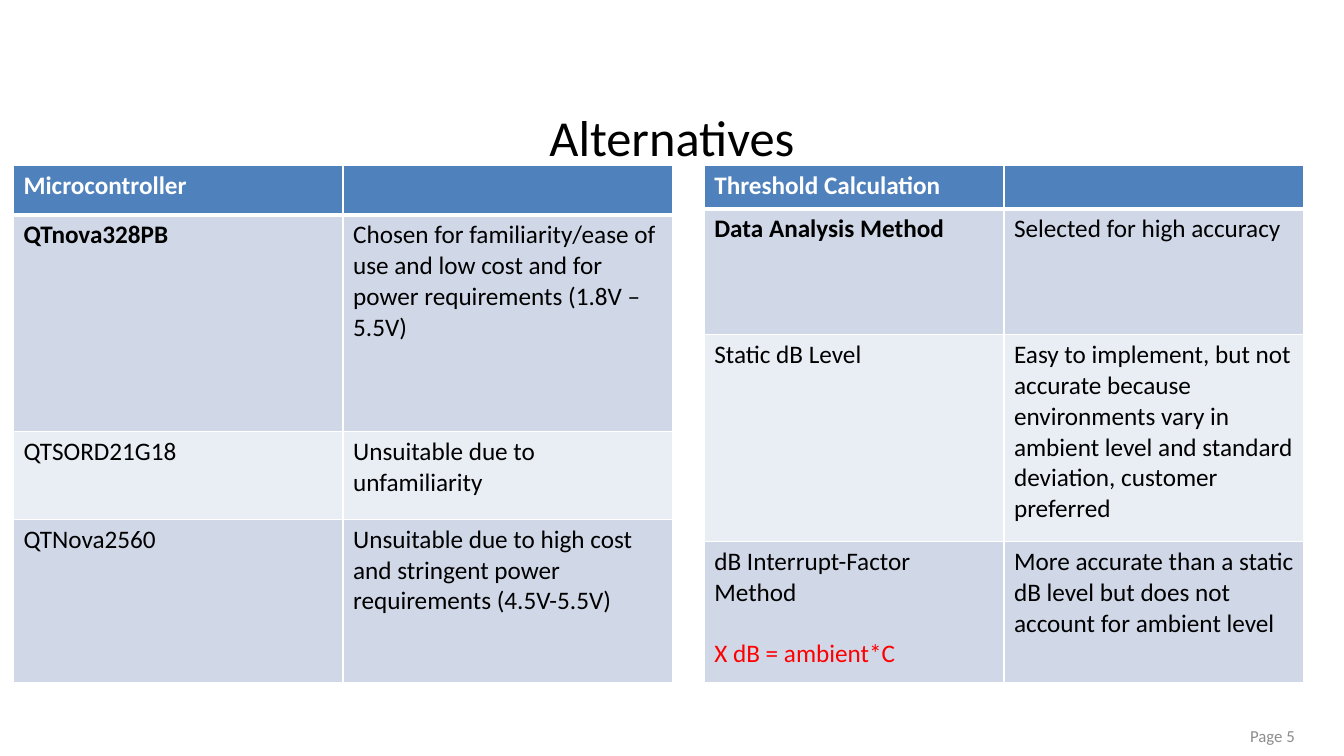
from dataclasses import dataclass

from lxml import etree
from pptx import Presentation
from pptx.dml.color import RGBColor
from pptx.enum.text import MSO_ANCHOR, PP_ALIGN
from pptx.oxml.ns import qn
from pptx.util import Inches, Pt

MIDDLE = MSO_ANCHOR.MIDDLE
CENTER = PP_ALIGN.CENTER
RIGHT = PP_ALIGN.RIGHT
LEFT = PP_ALIGN.LEFT


@dataclass(frozen=True)
class Theme:
    font: str = "Calibri"
    title_size: int = 36
    body_size: int = 18
    footer_size: int = 12
    text: str = "000000"
    muted: str = "8C8C8C"
    formula: str = "FF0000"
    inverse: str = "FFFFFF"
    header: str = "4F81BD"
    bands: tuple = ("D0D8E8", "E9EDF4")
    thin_line: int = 1
    thick_line: int = 3


class SlideBuilder:
    """Build slide elements placed by percentages of the slide's size."""

    def __init__(self, presentation, theme):
        self.theme = theme
        self.width = presentation.slide_width
        self.height = presentation.slide_height
        self.slide = presentation.slides.add_slide(presentation.slide_layouts[6])

    def across(self, share):
        return int(self.width * share / 100)

    def down(self, share):
        return int(self.height * share / 100)

    def place(self, left, top, width, height):
        return self.across(left), self.down(top), self.across(width), self.down(height)

    def add_text(self, paragraph, text, size, color, bold=False, align=LEFT):
        paragraph.alignment = align
        run = paragraph.add_run()
        run.text = text
        run.font.name = self.theme.font
        run.font.size = Pt(size)
        run.font.bold = bold
        run.font.color.rgb = RGBColor.from_string(color)

    def label(self, area, text, size, color, align):
        frame = self.slide.shapes.add_textbox(*self.place(*area)).text_frame
        frame.word_wrap = True
        frame.vertical_anchor = MIDDLE
        self.add_text(frame.paragraphs[0], text, size, color, align=align)

    def borders(self, cell, top, bottom):
        thin = self.theme.thin_line
        sides = (("a:lnL", thin), ("a:lnR", thin), ("a:lnT", top), ("a:lnB", bottom))
        properties = cell._tc.get_or_add_tcPr()
        for index, (tag, points) in enumerate(sides):
            line = etree.Element(qn(tag), w=str(Pt(points)))
            fill = etree.SubElement(line, qn("a:solidFill"))
            etree.SubElement(fill, qn("a:srgbClr"), val=self.theme.inverse)
            properties.insert(index, line)

    def cell(self, cell, text, row, column):
        theme = self.theme
        is_header = row == 0
        cell.fill.solid()
        fill = theme.header if is_header else theme.bands[(row - 1) % 2]
        cell.fill.fore_color.rgb = RGBColor.from_string(fill)
        top = theme.thick_line if row == 1 else theme.thin_line
        bottom = theme.thick_line if is_header else theme.thin_line
        self.borders(cell, top, bottom)
        color = theme.inverse if is_header else theme.text
        bold = is_header or (row == 1 and column == 0)
        paragraph = cell.text_frame.paragraphs[0]
        if text:
            self.add_text(paragraph, text, theme.body_size, color, bold)
        else:
            paragraph.font.size = Pt(theme.body_size)

    def table(self, left, top, width, row_heights, rows):
        area = self.place(left, top, width, sum(row_heights))
        table = self.slide.shapes.add_table(len(rows), len(rows[0]), *area).table
        for row, (height, texts) in enumerate(zip(row_heights, rows)):
            table.rows[row].height = self.down(height)
            for column, text in enumerate(texts):
                self.cell(table.cell(row, column), text, row, column)
        return table

    def formula(self, cell, text):
        paragraph = cell.text_frame.add_paragraph()
        paragraph.space_before = Pt(22)
        self.add_text(paragraph, text, self.theme.body_size, self.theme.formula)


MICROCONTROLLERS = (
    ("Microcontroller", ""),
    ("QTnova328PB", "Chosen for familiarity/ease of use and low cost and for "
                    "power requirements (1.8V – 5.5V)"),
    ("QTSORD21G18", "Unsuitable due to unfamiliarity"),
    ("QTNova2560", "Unsuitable due to high cost and stringent power "
                   "requirements (4.5V-5.5V)"),
)
THRESHOLDS = (
    ("Threshold Calculation", ""),
    ("Data Analysis Method", "Selected for high accuracy"),
    ("Static dB Level", "Easy to implement, but not accurate because environments "
                        "vary in ambient level and standard deviation, customer preferred"),
    ("dB Interrupt-Factor Method", "More accurate than a static dB level but does "
                                   "not account for ambient level"),
)


def main():
    presentation = Presentation()
    presentation.slide_width = Inches(13.33)
    presentation.slide_height = Inches(7.5)
    theme = Theme()
    builder = SlideBuilder(presentation, theme)
    builder.label((5, 9.73, 90, 16.67), "Alternatives", theme.title_size, theme.text, CENTER)
    builder.label((73.75, 94.67, 23.33, 5.33), "Page 5", theme.footer_size, theme.muted, RIGHT)
    table_top = 21.9
    builder.table(1, table_top, 49.05, (6.53, 28.67, 11.6, 21.6), MICROCONTROLLERS)
    thresholds = builder.table(52.4, table_top, 44.6, (5.73, 16.67, 27.33, 18.67), THRESHOLDS)
    builder.formula(thresholds.cell(3, 0), "X dB = ambient*C")
    presentation.save("out.pptx")


if __name__ == "__main__":
    main()
